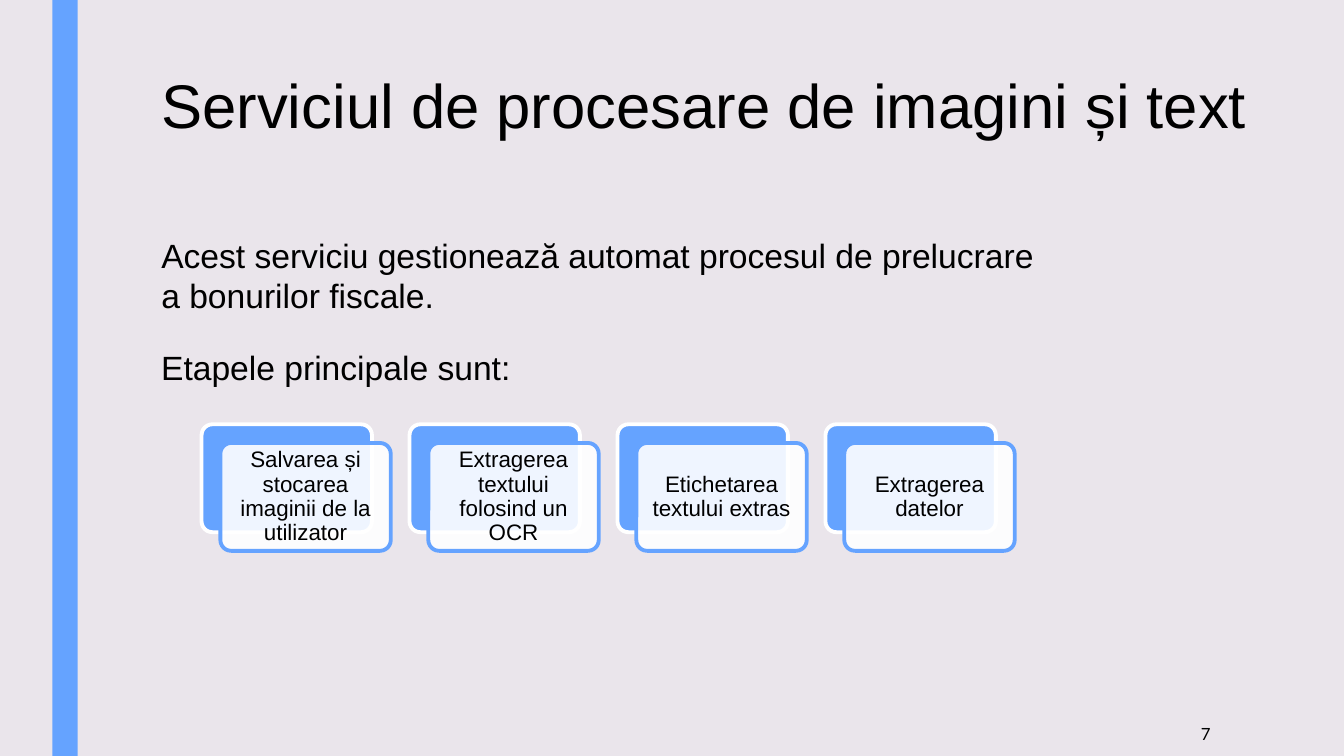
from lxml import etree
from pptx import Presentation
from pptx.dml.color import RGBColor
from pptx.enum.shapes import MSO_SHAPE as Shape
from pptx.enum.text import MSO_ANCHOR as Anchor, MSO_AUTO_SIZE as AutoSize, PP_ALIGN as Align
from pptx.oxml.ns import qn
from pptx.util import Inches, Pt

COLUMNS, ROWS = 40, 30
BLUE, WHITE, BLACK, BACKDROP = "65A3FF", "FFFFFF", "000000", "EAE5EB"


def paint(color_format, hex_color):
    color_format.rgb = RGBColor.from_string(hex_color)


class SlideBuilder:
    """Style and current slide; lengths are grid columns and rows."""

    def __init__(self, deck, layout_index, font="Arial"):
        self.slide = deck.slides.add_slide(deck.slide_layouts[layout_index])
        self.column = deck.slide_width / COLUMNS
        self.row = deck.slide_height / ROWS
        self.font = font

    def background(self, color):
        fill = self.slide.background.fill
        fill.solid()
        paint(fill.fore_color, color)

    def place(self, left, top, width, height):
        return (round(left * self.column), round(top * self.row),
                round(width * self.column), round(height * self.row))

    def typeset(self, shape, text, size, align=Align.LEFT, anchor=Anchor.TOP,
                spacing=1.0, inset=None, font=None):
        frame = shape.text_frame
        frame.text = text
        frame.word_wrap = True
        frame.auto_size = AutoSize.NONE
        frame.vertical_anchor = anchor
        if inset is not None:
            frame.margin_left = frame.margin_right = Inches(inset)
            frame.margin_top = frame.margin_bottom = Inches(inset)
        for paragraph in frame.paragraphs:
            paragraph.alignment = align
            paragraph.line_spacing = spacing
            paragraph.space_before = Pt(0)
            for run in paragraph.runs:
                run.font.size = Pt(size)
                run.font.name = font or self.font
                paint(run.font.color, BLACK)

    def placeholder(self, index, box, text, size, **style):
        holder = self.slide.placeholders[index]
        holder.left, holder.top, holder.width, holder.height = self.place(*box)
        self.typeset(holder, text, size, **style)
        # No bullet and no hanging indent
        for paragraph in holder.text_frame.paragraphs:
            properties = paragraph._p.get_or_add_pPr()
            properties.set("marL", "0")
            properties.set("indent", "0")
            etree.SubElement(properties, qn("a:buNone"))

    def text(self, box, text, size, **style):
        self.typeset(self.slide.shapes.add_textbox(*self.place(*box)), text, size, **style)

    def block(self, kind, box, fill, line=None, opacity=None):
        shape = self.slide.shapes.add_shape(kind, *self.place(*box))
        shape.shadow.inherit = False
        shape.fill.solid()
        paint(shape.fill.fore_color, fill)
        if opacity is not None:
            color = shape._element.spPr.find(qn("a:solidFill"))[0]
            etree.SubElement(color, qn("a:alpha")).set("val", str(opacity * 1000))
        if line:
            paint(shape.line.color, line)
            shape.line.width = Pt(2.75)
        else:
            shape.line.fill.background()
        return shape

    def card(self, box, fill, line, opacity=None):
        card = self.block(Shape.ROUNDED_RECTANGLE, box, fill, line, opacity)
        card.adjustments[0] = 0.1
        return card

    def stage(self, left, top, label):
        width, height = 5.07, 4.28
        self.card((left, top, width, height), BLUE, WHITE)
        front = self.card((left + 0.56, top + 0.74, width, height), WHITE, BLUE, 90)
        self.typeset(front, label, 16, align=Align.CENTER, anchor=Anchor.MIDDLE,
                     spacing=0.9, inset=0.07)


def main():
    deck = Presentation()
    deck.slide_width, deck.slide_height = Inches(13.33), Inches(7.5)
    page = SlideBuilder(deck, layout_index=1)

    # Backdrop and side bar
    page.background(BACKDROP)
    page.block(Shape.RECTANGLE, (1.56, 0, 0.75, ROWS), BLUE)

    # Title and introduction
    margin = 4.5
    page.placeholder(0, (margin, 2.8, 32.94, 6.48),
                     "Serviciul de procesare de imagini și text", 44, spacing=0.89)
    page.placeholder(1, (margin, 9.12, 26.97, 3.64),
                     "Acest serviciu gestionează automat procesul de prelucrare "
                     "a bonurilor fiscale.", 24)
    page.text((margin, 13.56, 20, 2), "Etapele principale sunt:", 24)

    # Processing stages
    stages = ["Salvarea și stocarea imaginii de la utilizator",
              "Extragerea textului folosind un OCR",
              "Etichetarea textului extras",
              "Extragerea datelor"]
    for position, label in enumerate(stages):
        page.stage(6 + position * 6.19, 16.84, label)

    # Page number
    page.text((31.08, 28.24, 5.25, 1.76), "7", 12,
              align=Align.RIGHT, anchor=Anchor.MIDDLE, font="Lato")

    deck.save("out.pptx")


if __name__ == "__main__":
    main()
